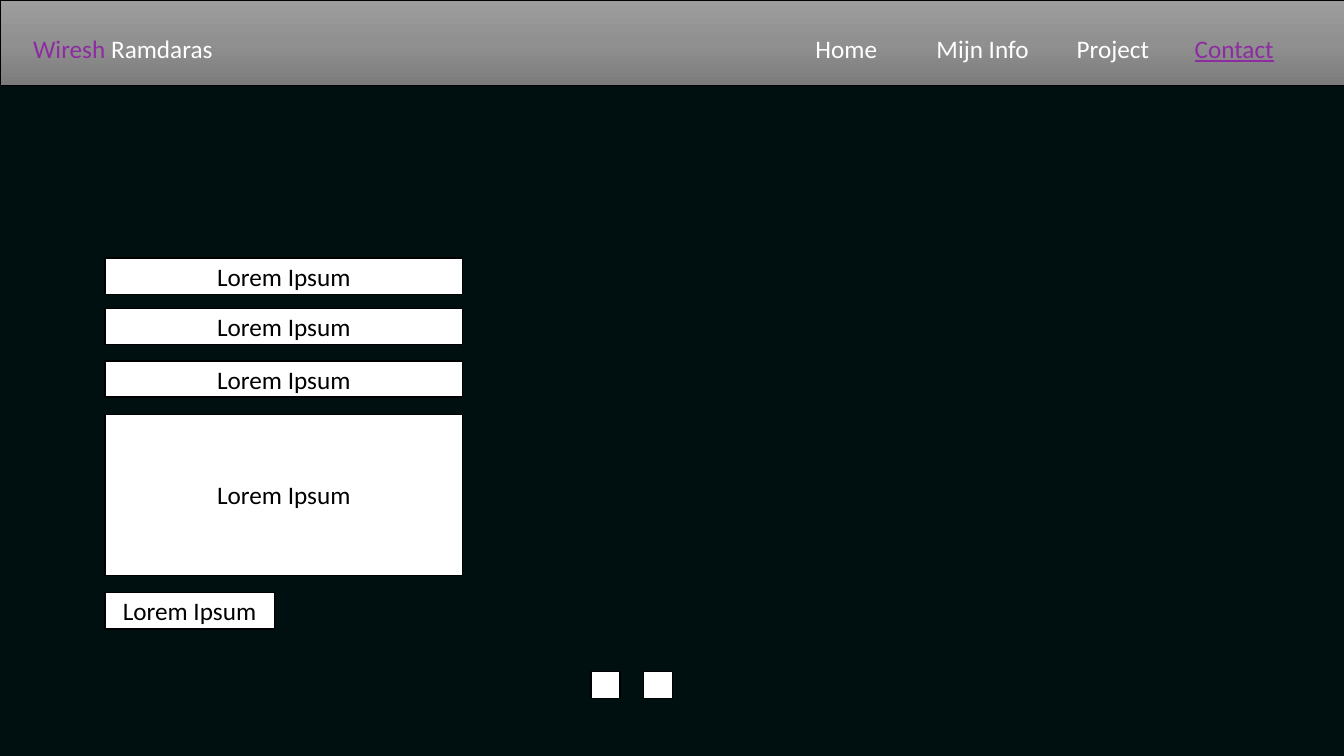
from copy import deepcopy

from pptx import Presentation
from pptx.dml.color import RGBColor
from pptx.enum.shapes import MSO_SHAPE as Shape
from pptx.enum.text import MSO_ANCHOR as Anchor, MSO_AUTO_SIZE as AutoSize, PP_ALIGN as Align
from pptx.util import Inches, Pt

# Content
PURPLE, WHITE, BLACK, NIGHT = "8D2CA0", "FFFFFF", "000000", "001011"
HEADER_STOPS = [(0, "9D9D9D"), (0.5, "909090"), (1, "7C7C7C")]
# Header labels: left, width, runs as (text, colour, underlined)
HEADER_LABELS = [
    (0.23, 1.99, [("Wiresh", PURPLE, False), (" Ramdaras", WHITE, False)]),
    (7.99, 1.24, [("Home", WHITE, False)]),
    (9.19, 1.24, [("Mijn Info", WHITE, False)]),
    (10.58, 1.01, [("Project", WHITE, False)]),
    (11.75, 1.01, [("Contact", PURPLE, True)]),
]
FIELD_TEXT = "Lorem Ipsum"
FIELD_LEFT = 1.04
# Form fields: top, width, height
FORM_FIELDS = [
    (2.56, 3.55, 0.36),
    (3.06, 3.55, 0.36),
    (3.58, 3.55, 0.36),
    (4.11, 3.55, 1.6),
    (5.88, 1.68, 0.36),
]
FOOTER_ICON_LEFTS = [5.86, 6.38]


def rgb(value):
    return RGBColor.from_string(value)


def style(run, color, underlined=False):
    run.font.name = "Calibri"
    run.font.size = Pt(18)
    run.font.color.rgb = rgb(color)
    if underlined:
        run.font.underline = True


def add_box(left, top, width, height, line_width=1):
    box = slide.shapes.add_shape(
        Shape.RECTANGLE, Inches(left), Inches(top), Inches(width), Inches(height))
    box.shadow.inherit = False
    box.fill.solid()
    box.fill.fore_color.rgb = rgb(WHITE)
    box.line.color.rgb = rgb(BLACK)
    box.line.width = Pt(line_width)
    return box


prs = Presentation()
prs.slide_width, prs.slide_height = Inches(13.33), Inches(7.5)
slide = prs.slides.add_slide(prs.slide_layouts[6])
slide.background.fill.solid()
slide.background.fill.fore_color.rgb = rgb(NIGHT)

# Header bar with a three-stop gradient, light at the top
header = add_box(0, 0, 13.33, 0.85, line_width=0.5)
header.fill.gradient()
header.fill.gradient_angle = 270
first_stop = header._element.spPr.xpath("./a:gradFill/a:gsLst/a:gs")[0]
first_stop.addnext(deepcopy(first_stop))
for stop, (position, color) in zip(header.fill.gradient_stops, HEADER_STOPS):
    stop.position = position
    stop.color.rgb = rgb(color)

# Site name and menu
for left, width, runs in HEADER_LABELS:
    label = slide.shapes.add_textbox(Inches(left), Inches(0.28), Inches(width), Inches(0.4))
    label.text_frame.word_wrap = True
    label.text_frame.auto_size = AutoSize.SHAPE_TO_FIT_TEXT
    for text, color, underlined in runs:
        run = label.text_frame.paragraphs[0].add_run()
        run.text = text
        style(run, color, underlined)

# Contact form
for top, width, height in FORM_FIELDS:
    field = add_box(FIELD_LEFT, top, width, height)
    field.text_frame.text = FIELD_TEXT
    field.text_frame.vertical_anchor = Anchor.MIDDLE
    paragraph = field.text_frame.paragraphs[0]
    paragraph.alignment = Align.CENTER
    style(paragraph.runs[0], BLACK)

# Footer icons
for left in FOOTER_ICON_LEFTS:
    add_box(left, 6.66, 0.29, 0.27)

prs.save("out.pptx")
